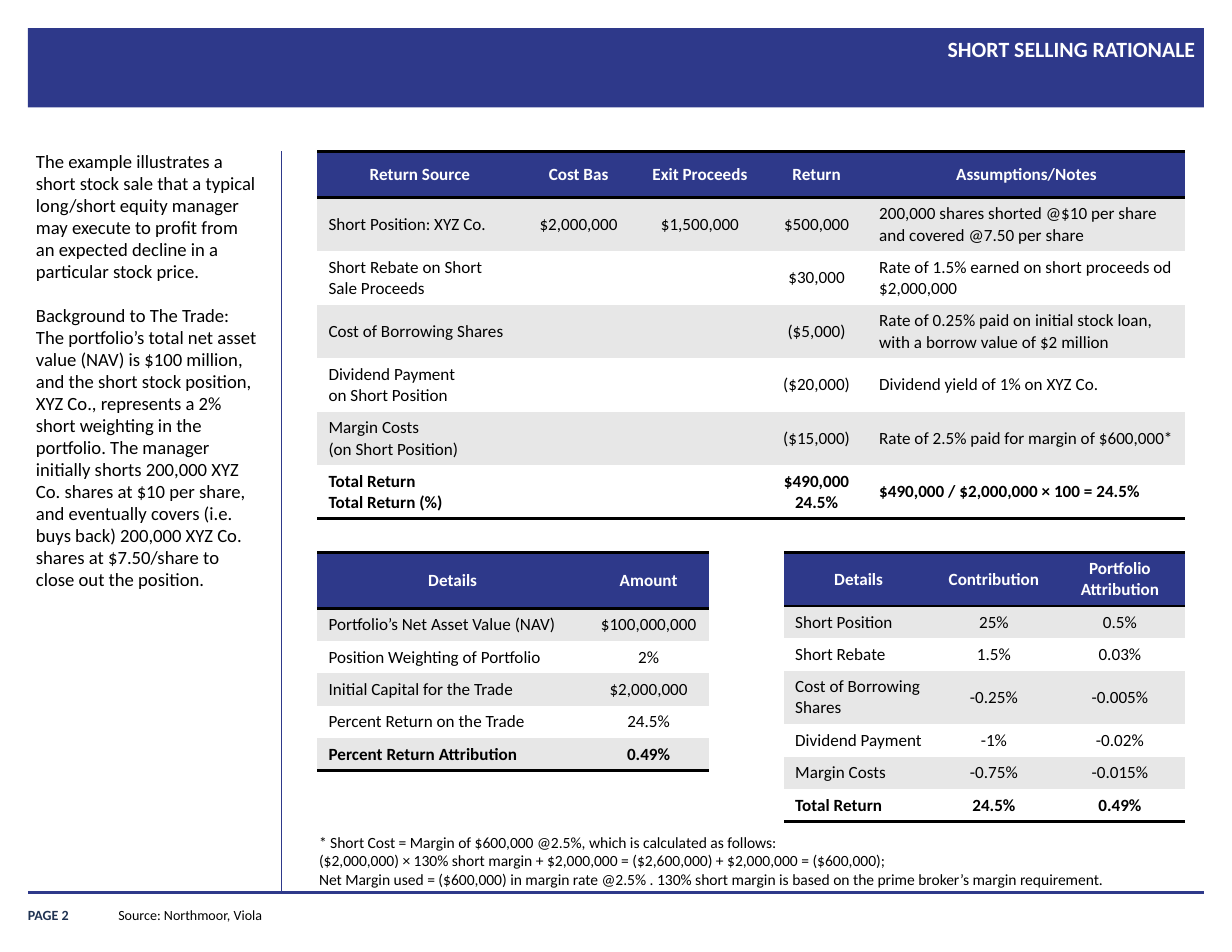
from lxml import etree
from pptx import Presentation
from pptx.dml.color import RGBColor
from pptx.enum.shapes import MSO_CONNECTOR, MSO_SHAPE
from pptx.enum.text import MSO_ANCHOR, MSO_AUTO_SIZE, PP_ALIGN
from pptx.oxml.ns import qn
from pptx.util import Inches, Pt

NAVY = RGBColor(0x2E, 0x39, 0x8A)
INK = RGBColor(0x20, 0x33, 0x53)
BLACK = RGBColor(0, 0, 0)
WHITE = RGBColor(0xFF, 0xFF, 0xFF)
GREY = RGBColor(0xE7, 0xE7, 0xE7)

LEFT, CENTER, RIGHT = PP_ALIGN.LEFT, PP_ALIGN.CENTER, PP_ALIGN.RIGHT
TOP, MIDDLE, BOTTOM = MSO_ANCHOR.TOP, MSO_ANCHOR.MIDDLE, MSO_ANCHOR.BOTTOM
ALIGN = {"l": LEFT, "c": CENTER}

FONT = "Calibri"
UNIT = 1 / 12  # grid step in inches: the page is 132 columns by 102 rows
NO_STYLE = "{2D5ABB26-0587-4C30-8999-92F81FD0307C}"

# Row heights in grid units
ONE_LINE, TWO_LINES = 3.4, 5.6


def grid(*values):
    return [Inches(v * UNIT) for v in values]


class Page:
    """Slide style and the drawing methods for one slide."""

    def __init__(self, prs):
        self.s = prs.slides.add_slide(prs.slide_layouts[5])

    def set_text(self, tf, lines, size, color=BLACK, bold=False, align=LEFT):
        tf.text = "\n".join(lines)
        for p in tf.paragraphs:
            p.alignment = align
            p.font.name, p.font.size = FONT, Pt(size)
            p.font.bold, p.font.color.rgb = bold, color

    def frame(self, sp, lines, size, inset=True, anchor=TOP, wrap=True, **style):
        tf = sp.text_frame
        tf.word_wrap, tf.auto_size = wrap, MSO_AUTO_SIZE.NONE
        tf.vertical_anchor = anchor
        if not inset:
            tf.margin_left = tf.margin_right = tf.margin_top = tf.margin_bottom = 0
        self.set_text(tf, lines, size, **style)
        return tf

    def title(self, box, text):
        sp = self.s.shapes.title
        sp.left, sp.top, sp.width, sp.height = grid(*box)
        tf = self.frame(sp, [text], 14, inset=False, color=WHITE, bold=True, align=RIGHT)
        tf.paragraphs[0].line_spacing = 1.1

    def text(self, box, lines, size, **options):
        return self.frame(self.s.shapes.add_textbox(*grid(*box)), lines, size, **options)

    def band(self, box):
        """Filled rectangle placed behind everything else."""
        sp = self.s.shapes.add_shape(MSO_SHAPE.RECTANGLE, *grid(*box))
        sp.shadow.inherit = False
        sp.fill.solid()
        sp.fill.fore_color.rgb = NAVY
        sp.line.fill.background()
        self.s.shapes._spTree.insert(2, sp._element)

    def line(self, ends, width):
        cx = self.s.shapes.add_connector(MSO_CONNECTOR.STRAIGHT, *grid(*ends))
        cx.line.color.rgb, cx.line.width = NAVY, Pt(width)
        etree.SubElement(cx._element.spPr, qn("a:effectLst"))

    def border(self, cell, side):
        ln = etree.SubElement(cell._tc.get_or_add_tcPr(), qn("a:ln" + side), w=str(Pt(2)))
        fill = etree.SubElement(ln, qn("a:solidFill"))
        etree.SubElement(fill, qn("a:srgbClr"), val=str(BLACK))

    def table(self, x, y, cols, heights, aligns, rows):
        """Header row, striped body and a bold total row."""
        gf = self.s.shapes.add_table(len(rows), len(cols), *grid(x, y, sum(cols), sum(heights)))
        gf._element.find(".//" + qn("a:tableStyleId")).text = NO_STYLE
        table = gf.table
        table.horz_banding = False
        for col, width in zip(table.columns, grid(*cols)):
            col.width = width
        for row, height in zip(table.rows, grid(*heights)):
            row.height = height
        last = len(rows) - 1
        for i, row in enumerate(rows):
            head = i == 0
            for j, value in enumerate(row):
                cell = table.cell(i, j)
                if head:
                    self.border(cell, "T")
                if i in (0, last):
                    self.border(cell, "B")
                cell.fill.solid()
                cell.fill.fore_color.rgb = NAVY if head else GREY if i % 2 else WHITE
                cell.vertical_anchor = MIDDLE
                self.set_text(cell.text_frame, value.split("\n"), 11, WHITE if head else BLACK,
                              i in (0, last), CENTER if head else ALIGN[aligns[j]])


RETURNS = [
    ["Return Source", "Cost Bas", "Exit Proceeds", "Return", "Assumptions/Notes"],
    ["Short Position: XYZ Co.", "$2,000,000", "$1,500,000", "$500,000",
     "200,000 shares shorted @$10 per share and covered @7.50 per share"],
    ["Short Rebate on Short Sale Proceeds", "", "", "$30,000",
     "Rate of 1.5% earned on short proceeds od $2,000,000"],
    ["Cost of Borrowing Shares", "", "", "($5,000)",
     "Rate of 0.25% paid on initial stock loan, with a borrow value of $2 million"],
    ["Dividend Payment\non Short Position", "", "", "($20,000)",
     "Dividend yield of 1% on XYZ Co."],
    ["Margin Costs\n(on Short Position)", "", "", "($15,000)",
     "Rate of 2.5% paid for margin of $600,000*"],
    ["Total Return\nTotal Return (%)", "", "", "$490,000\n24.5%",
     "$490,000 / $2,000,000 × 100 = 24.5%"],
]
AMOUNTS = [
    ["Details", "Amount"],
    ["Portfolio’s Net Asset Value (NAV)", "$100,000,000"],
    ["Position Weighting of Portfolio", "2%"],
    ["Initial Capital for the Trade", "$2,000,000"],
    ["Percent Return on the Trade", "24.5%"],
    ["Percent Return Attribution", "0.49%"],
]
ATTRIBUTION = [
    ["Details", "Contribution", "Portfolio Attribution"],
    ["Short Position", "25%", "0.5%"],
    ["Short Rebate", "1.5%", "0.03%"],
    ["Cost of Borrowing Shares", "-0.25%", "-0.005%"],
    ["Dividend Payment", "-1%", "-0.02%"],
    ["Margin Costs", "-0.75%", "-0.015%"],
    ["Total Return", "24.5%", "0.49%"],
]
RATIONALE = [
    "The example illustrates a short stock sale that a typical long/short equity manager may "
    "execute to profit from an expected decline in a particular stock price.",
    "Background to The Trade:",
    "The portfolio’s total net asset value (NAV) is $100 million, and the short stock position, "
    "XYZ Co., represents a 2% short weighting in the portfolio. The manager initially shorts "
    "200,000 XYZ Co. shares at $10 per share, and eventually covers (i.e. buys back) 200,000 "
    "XYZ Co. shares at $7.50/share to close out the position.",
]
FOOTNOTE = [
    "* Short Cost = Margin of $600,000 @2.5%, which is calculated as follows:",
    "($2,000,000) × 130% short margin + $2,000,000 = ($2,600,000) + $2,000,000 = ($600,000);",
    "Net Margin used = ($600,000) in margin rate @2.5% . 130% short margin is based on the "
    "prime broker’s margin requirement.",
]


def main():
    prs = Presentation()
    prs.slide_width, prs.slide_height = Inches(11), Inches(8.5)
    page = Page(prs)

    # Header band, rules and footer
    page.band((3, 3, 126, 8.5))
    page.title((38, 3.5, 90.1, 8), "SHORT SELLING RATIONALE")
    page.line((3, 95.6, 129, 95.6), 2.25)
    page.line((30.2, 16.2, 30.2, 95.6), 0.5)
    page.text((3, 96.1, 11, 2.8), ["PAGE 2"], 9, inset=False, anchor=BOTTOM, color=INK, bold=True)
    page.text((11.5, 96.5, 17, 3), ["Source: Northmoor, Viola"], 9, wrap=False)

    # Explanation on the left
    tf = page.text((3.85, 16.2, 24.1, 77.8), RATIONALE, 12, inset=False)
    for p in tf.paragraphs:
        p.line_spacing = 0.98
    tf.paragraphs[1].space_before = Pt(14.4)

    # Tables
    page.table(34, 16.2, [22, 12, 14, 11, 34], [5] + [TWO_LINES] * 6, "lcccl", RETURNS)
    page.table(34, 59.2, [29, 13], [6] + [ONE_LINE] * 5, "lc", AMOUNTS)
    heights = [TWO_LINES, ONE_LINE, ONE_LINE, TWO_LINES] + [ONE_LINE] * 3
    page.table(84, 59.2, [16, 13, 14], heights, "lcc", ATTRIBUTION)

    # Footnote
    page.text((33, 88.6, 93, 7.3), FOOTNOTE, 10)

    prs.save("out.pptx")


if __name__ == "__main__":
    main()
